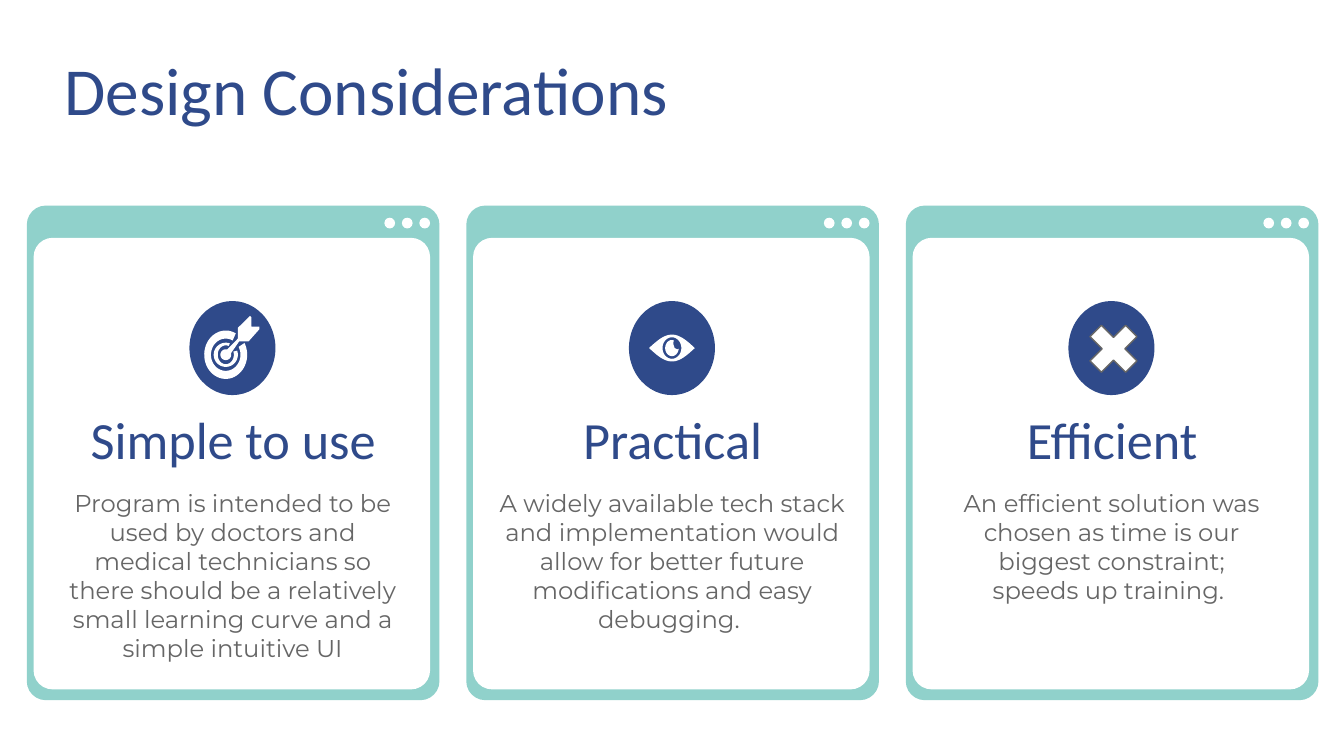
from math import cos, pi, radians, sin

from pptx import Presentation
from pptx.dml.color import RGBColor
from pptx.enum.shapes import MSO_SHAPE
from pptx.enum.text import MSO_ANCHOR, PP_ALIGN
from pptx.util import Inches, Pt

ROUND, OVAL, CROSS = (MSO_SHAPE.ROUNDED_RECTANGLE, MSO_SHAPE.OVAL,
                      MSO_SHAPE.MATH_MULTIPLY)
LEFT, CENTER, TOP = PP_ALIGN.LEFT, PP_ALIGN.CENTER, MSO_ANCHOR.TOP
NAVY = RGBColor(0x2F, 0x4A, 0x8A)
MINT = RGBColor(0x90, 0xD1, 0xCB)
GRAY = RGBColor(0x66, 0x66, 0x66)
WHITE = RGBColor(0xFF, 0xFF, 0xFF)

# Content: heading, body, body width, body height, icon
TITLE = "Design Considerations"
CARDS = [
    ("Simple to use",
     "Program is intended to be used by doctors and medical technicians so "
     "there should be a relatively small learning curve and a simple "
     "intuitive UI", 2.72, 1.71, "target"),
    ("Practical",
     "A widely available tech stack and implementation would allow for "
     "better future modifications and easy debugging. ", 2.8, 1.3, "eye"),
    ("Efficient",
     "An efficient solution was chosen as time is our biggest constraint; "
     "speeds up training. ", 2.53, 1.3, "cross"),
]
# Icon outlines, measured from the middle of the target and of the pupil
SHAFT = [(0.18, -0.29), (0.09, -0.2), (0.09, -0.12)]
FLIGHT = [(0.1, -0.1), (0.17, -0.1), (0.25, -0.19), (0.25, -0.21),
          (0.19, -0.21), (0.19, -0.28)]
GLINT = [(0.01, -0.03), (0.02, 0), (0.04, 0.01)]

# Grid: three columns around the slide's middle
WIDE = 10
HIGH = WIDE * 9 / 16
PITCH = 3.27
BADGE = 2.59

prs = Presentation()
prs.slide_width, prs.slide_height = Inches(WIDE), Inches(HIGH)
slide = prs.slides.add_slide(prs.slide_layouts[6])
shapes = slide.shapes


def paint(shape, fill):
    shape.shadow.inherit = False
    shape.fill.solid()
    shape.fill.fore_color.rgb = fill
    shape.line.fill.background()
    return shape


def block(kind, x, y, w, h, fill):
    return paint(shapes.add_shape(
        kind, Inches(x), Inches(y), Inches(w), Inches(h)), fill)


def oval(x, y, rx, ry, fill):
    block(OVAL, x - rx, y - ry, 2 * rx, 2 * ry, fill)


def outline(x, y, *loops):
    pen = None
    for loop in loops:
        dots = [(Inches(x + a), Inches(y + b)) for a, b in loop]
        if pen is None:
            pen = shapes.build_freeform(*dots[0])
        else:
            pen.move_to(*dots[0])
        pen.add_line_segments(dots[1:], close=True)
    paint(pen.convert_to_shape(), WHITE)


def label(text, x, y, w, h, size, font, color, align):
    frame = shapes.add_textbox(
        Inches(x), Inches(y), Inches(w), Inches(h)).text_frame
    frame.word_wrap = True
    frame.vertical_anchor = TOP
    frame.margin_left = frame.margin_right = Inches(0.1)
    frame.margin_top = frame.margin_bottom = Inches(0.1)
    para = frame.paragraphs[0]
    para.alignment = align
    run = para.add_run()
    run.text = text
    run.font.size, run.font.name = Pt(size), font
    run.font.color.rgb = color


def arc(rx, ry, start, stop, x=0, y=0, steps=48):
    turns = [radians(start + (stop - start) * i / steps)
             for i in range(steps + 1)]
    return [(x + rx * cos(t), y + ry * sin(t)) for t in turns]


def target(mid):
    # Open rings leave a gap for the dart
    x, y = mid - 0.05, BADGE + 0.05
    outline(x, y, SHAFT + arc(0.04, 0.04, -75, -376) + FLIGHT)
    for rx, ry, hole_x, hole_y, start, stop in [
            (0.09, 0.09, 0.06, 0.07, -20, 290),
            (0.16, 0.18, 0.11, 0.12, -29, 298)]:
        outline(x, y, arc(rx, ry, start, stop)
                + arc(hole_x, hole_y, stop, start))


def eye(mid):
    shares = [i / 12 for i in range(-12, 13)]
    lid = [(0.17 * s, -0.1 * cos(pi * s / 2)) for s in shares]
    lower = [(a, -b) for a, b in reversed(lid)]
    outline(mid, BADGE, lid + lower[1:-1], arc(0.07, 0.08, 360, 0))
    outline(mid, BADGE, arc(0.05, 0.06, 5, 285) + GLINT)


def cross(mid):
    mark = block(CROSS, mid - 0.24, 2.34, 0.51, 0.51, WHITE)
    mark.adjustments[0] = 0.235
    mark.line.color.rgb = GRAY
    mark.line.width = Pt(0.75)


ICONS = {"target": target, "eye": eye, "cross": cross}

# Title
label(TITLE, 0.38, 0.26, 9.09, 0.51, 36, "Calibri", NAVY, LEFT)

# Window cards
for col, (head, body, wide, high, icon) in enumerate(CARDS):
    mid = WIDE / 2 + (col - 1) * PITCH
    block(ROUND, mid - 1.53, 1.53, 3.07, 3.68, MINT).adjustments[0] = 0.046
    block(ROUND, mid - 1.48, 1.77, 2.95, 3.36, WHITE).adjustments[0] = 0.048
    for dot in range(3):
        oval(mid + 1.17 + 0.13 * dot, 1.66, 0.04, 0.04, WHITE)
    oval(mid, BADGE, 0.32, 0.35, NAVY)
    ICONS[icon](mid)
    label(head, mid - 1.26, 2.93, 2.53, 0.51, 28, "Calibri", NAVY, CENTER)
    label(body, mid - wide / 2, 3.53, wide, high, 13, "Montserrat", GRAY,
          CENTER)

prs.save("out.pptx")
